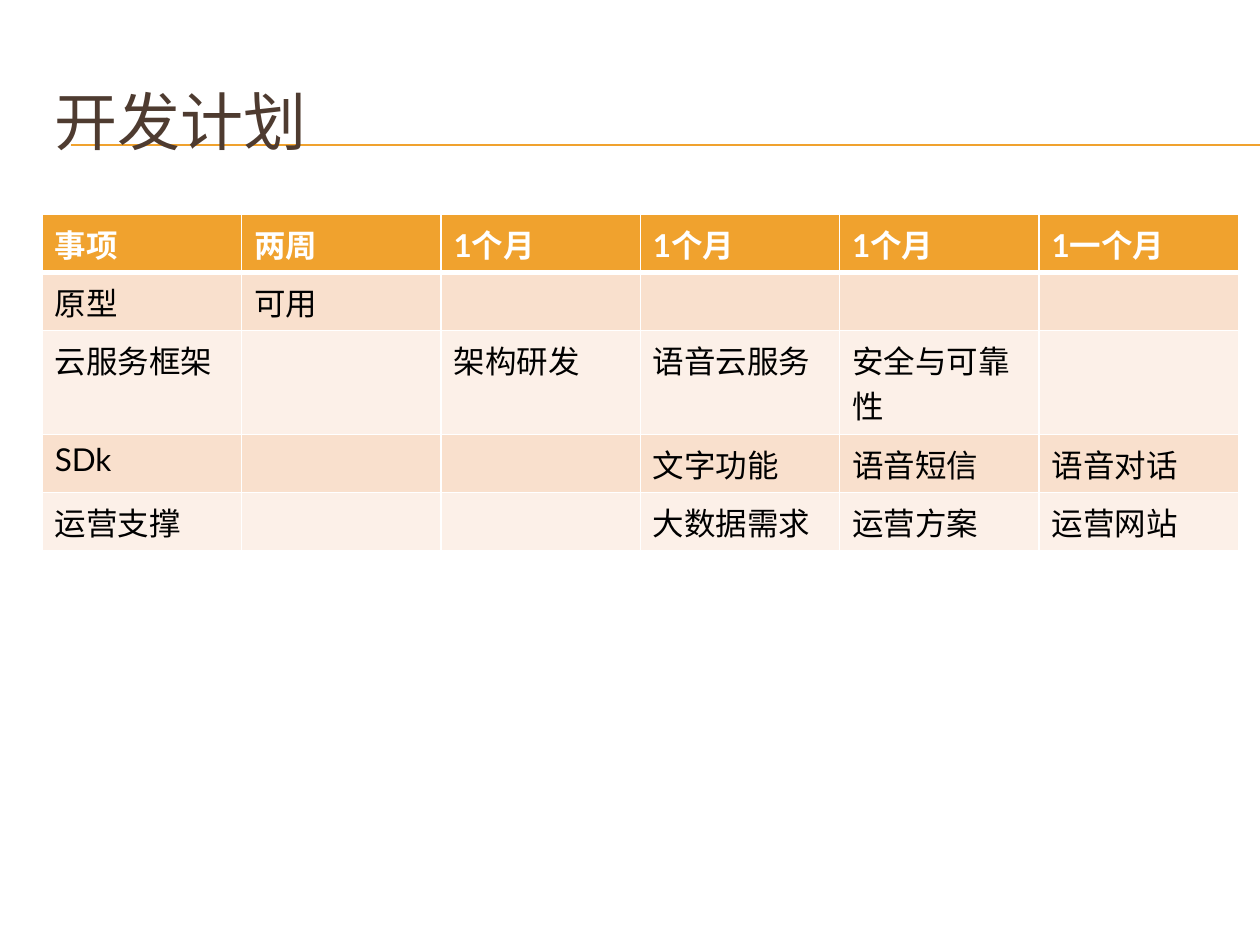
from lxml import etree
from pptx import Presentation
from pptx.dml.color import RGBColor
from pptx.enum.shapes import MSO_CONNECTOR
from pptx.enum.text import MSO_ANCHOR
from pptx.oxml.ns import qn
from pptx.util import Cm, Pt

STRAIGHT = MSO_CONNECTOR.STRAIGHT
MIDDLE = MSO_ANCHOR.MIDDLE

THEME = {
    "font": "Lato",
    "title": "4E3B30", "accent": "F0A22E", "text": "000000", "white": "FFFFFF",
    "bands": ("F9E0CD", "FCF0E8"),
    "title_size": 36, "table_size": 18, "rule_width": 0.75,
    "border": 1, "header_border": 3,
}


def style_text(paragraph, size, color, bold=False):
    for run in paragraph.runs:
        run.font.name = THEME["font"]
        run.font.size = Pt(size)
        run.font.bold = bold
        run.font.color.rgb = RGBColor.from_string(color)


def add_borders(cell, bottom_width):
    properties = cell._tc.get_or_add_tcPr()
    widths = {"L": THEME["border"], "R": THEME["border"],
              "T": THEME["border"], "B": bottom_width}
    for position, (side, width) in enumerate(widths.items()):
        border = etree.Element(qn(f"a:ln{side}"), w=str(Pt(width)))
        fill = etree.SubElement(border, qn("a:solidFill"))
        etree.SubElement(fill, qn("a:srgbClr"), val=THEME["white"])
        properties.insert(position, border)


prs = Presentation()
prs.slide_width, prs.slide_height = Cm(25.4), Cm(19.05)
slide = prs.slides.add_slide(prs.slide_layouts[6])

# Rules behind the title
for rule_y in (2.92, 2.93, 2.94):
    rule = slide.shapes.add_connector(STRAIGHT, Cm(1.43), Cm(rule_y), Cm(25.4), Cm(rule_y))
    rule.line.color.rgb = RGBColor.from_string(THEME["accent"])
    rule.line.width = Pt(THEME["rule_width"])
    etree.SubElement(rule._element.spPr, qn("a:effectLst"))

# Title
title = slide.shapes.add_textbox(Cm(0.85), Cm(1.27), Cm(24.1), Cm(2.33)).text_frame
title.word_wrap = True
title.vertical_anchor = MIDDLE
title.text = "开发计划"
style_text(title.paragraphs[0], THEME["title_size"], THEME["title"])

# Development plan: one row per item, one column per period
plan_rows = [
    ["事项", "两周", "1个月", "1个月", "1个月", "1一个月"],
    ["原型", "可用", "", "", "", ""],
    ["云服务框架", "", "架构研发", "语音云服务", "安全与可靠性", ""],
    ["SDk", "", "", "文字功能", "语音短信", "语音对话"],
    ["运营支撑", "", "", "大数据需求", "运营方案", "运营网站"],
]
row_heights = [1.17, 1.17, 2.1, 1.17, 1.17]
plan = slide.shapes.add_table(len(plan_rows), len(plan_rows[0]), Cm(0.85), Cm(4.32),
                              Cm(24.12), Cm(sum(row_heights))).table
for column in plan.columns:
    column.width = Cm(4.02)

for row_index, entries in enumerate(plan_rows):
    is_header = row_index == 0
    plan.rows[row_index].height = Cm(row_heights[row_index])
    band = THEME["accent"] if is_header else THEME["bands"][(row_index - 1) % 2]
    color = THEME["white"] if is_header else THEME["text"]
    bottom_width = THEME["header_border"] if is_header else THEME["border"]
    for column_index, entry in enumerate(entries):
        cell = plan.cell(row_index, column_index)
        cell.fill.solid()
        cell.fill.fore_color.rgb = RGBColor.from_string(band)
        add_borders(cell, bottom_width)
        if entry:
            cell.text_frame.text = entry
            style_text(cell.text_frame.paragraphs[0], THEME["table_size"], color, is_header)

prs.save("out.pptx")
